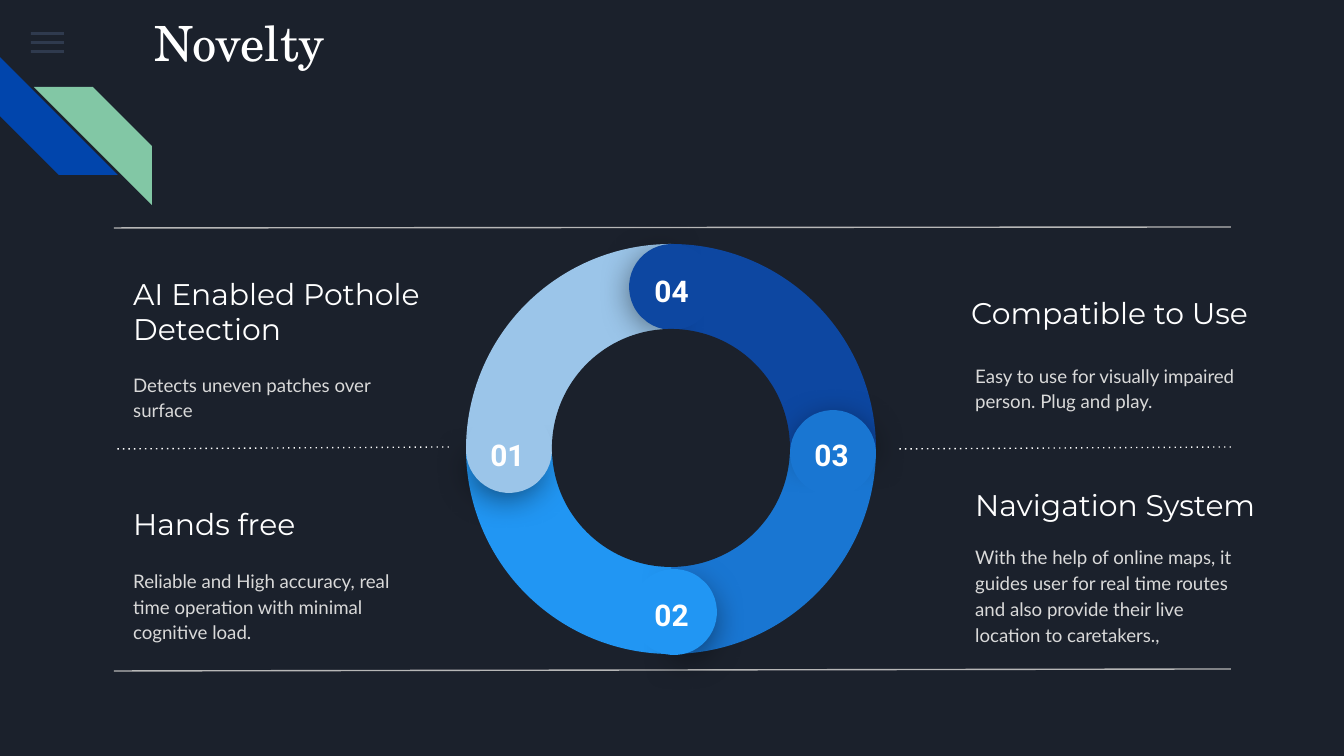
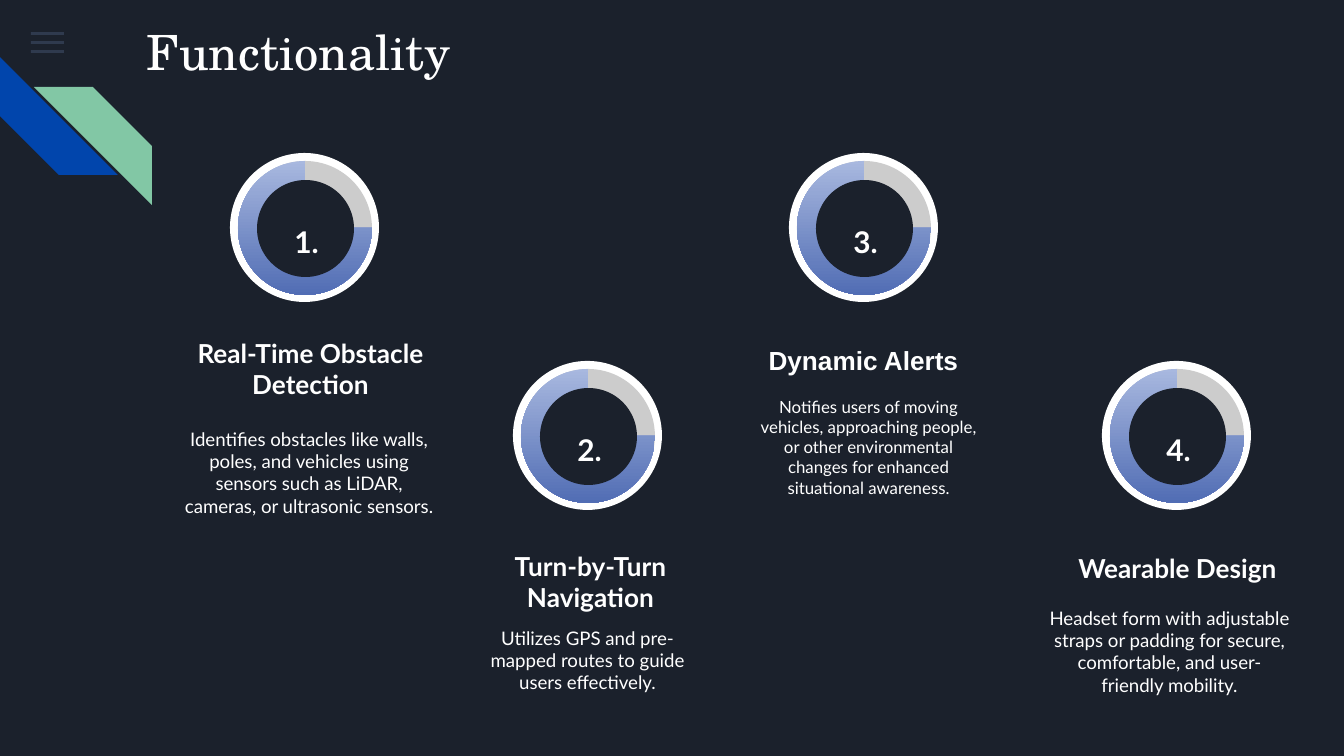
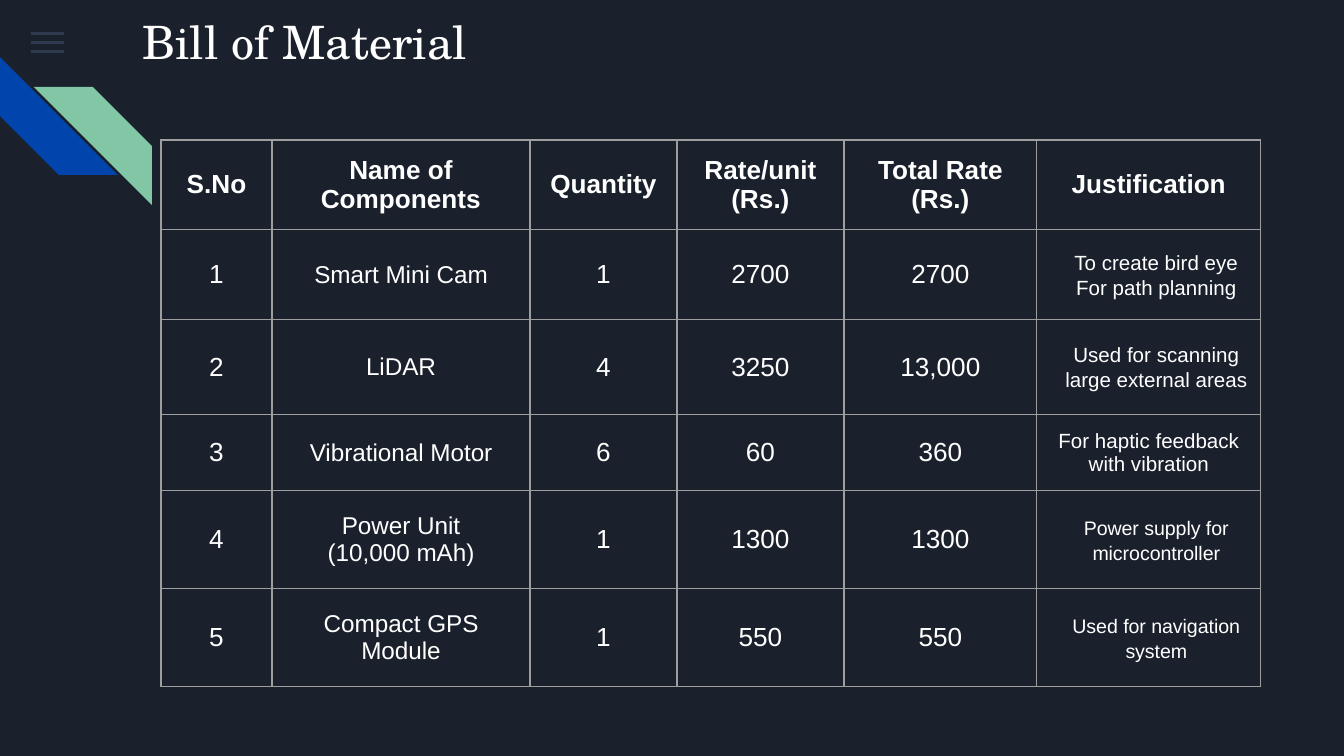
from lxml import etree
from pptx import Presentation
from pptx.dml.color import RGBColor
from pptx.enum.shapes import MSO_CONNECTOR, MSO_SHAPE
from pptx.enum.text import MSO_ANCHOR, PP_ALIGN
from pptx.oxml.ns import qn
from pptx.util import Emu, Pt

RECT, OVAL, PIE = MSO_SHAPE.RECTANGLE, MSO_SHAPE.OVAL, MSO_SHAPE.PIE
CHORD, STRIPE = MSO_SHAPE.CHORD, MSO_SHAPE.DIAGONAL_STRIPE
STRAIGHT = MSO_CONNECTOR.STRAIGHT
TOP, MIDDLE = MSO_ANCHOR.TOP, MSO_ANCHOR.MIDDLE
LEFT, CENTER = PP_ALIGN.LEFT, PP_ALIGN.CENTER

NAVY = RGBColor(0x1B, 0x21, 0x2C)
WHITE = RGBColor(0xFF, 0xFF, 0xFF)
PALE = RGBColor(0xD9, 0xD9, 0xD9)
RULE_GREY = RGBColor(0xB7, 0xB7, 0xB7)
DIAL_GREY = RGBColor(0xCC, 0xCC, 0xCC)
MENU_BLUE = RGBColor(0x55, 0x68, 0x8B)
STRIPE_BLUE = RGBColor(0x01, 0x45, 0xAC)
STRIPE_GREEN = RGBColor(0x82, 0xC7, 0xA5)
DIAL_LIGHT = RGBColor(0xA8, 0xB8, 0xDF)
DIAL_DARK = RGBColor(0x51, 0x6D, 0xB4)
BORDER = "9E9E9E"

TITLE_FONT, HEAD_FONT, BODY_FONT = "TeX Gyre Schola", "Montserrat", "Lato"
NUMBER_FONT, TABLE_FONT = "Roboto", "Arial"
SLIDE_W, SLIDE_H = 1344, 756
MARGIN = Pt(7.2)

# Novelty: heading, its box, body, its box
FEATURES = [
    ("AI Enabled Pothole Detection", (120, 278, 329, 66),
     "Detects uneven patches over surface", (120, 345, 293, 102)),
    ("Hands free", (120, 491, 273, 66),
     "Reliable and High accuracy, real time operation with minimal cognitive load.",
     (120, 554, 293, 102)),
    ("Compatible to Use", (958, 280, 321, 66),
     "Easy to use for visually impaired person. Plug and play.", (962, 336, 293, 102)),
    ("Navigation System", (962, 487, 313, 35),
     "With the help of online maps, it guides user for real time routes and also "
     "provide their live location to caretakers.,", (962, 540, 293, 109)),
]
# start, end, colour, dotted
RULES = [
    ((1231, 227), (114, 228), RULE_GREY, False),
    ((449, 447), (114, 449), WHITE, True),
    ((1231, 447), (896, 449), WHITE, True),
    ((1231, 669), (114, 671), RULE_GREY, False),
]
# number, colour, centre of knob shadow, centre of knob, label corner
RING_STEPS = [
    ("01", RGBColor(0x9B, 0xC5, 0xE9), (506, 451), (509, 450), (470, 423)),
    ("02", RGBColor(0x21, 0x96, 0xF3), (675, 614), (674, 612), (634, 583)),
    ("03", RGBColor(0x19, 0x76, 0xD2), (835, 451), (833, 453), (794, 423)),
    ("04", RGBColor(0x0D, 0x47, 0xA1), (670, 284), (672, 287), (634, 259)),
]
RING_BOX, HOLE_BOX = (466, 244, 410, 410), (552, 329, 238, 238)

# Functionality: dial corner, heading, box, font, body, box, size
FUNCTIONS = [
    ((230, 153), "Real-Time Obstacle Detection", (181, 324, 259, 99), BODY_FONT,
     "Identifies obstacles like walls, poles, and vehicles using sensors such as "
     "LiDAR, cameras, or ultrasonic sensors.", (170, 414, 278, 99), 10),
    ((513, 361), "Turn-by-Turn Navigation", (457, 537, 267, 90), BODY_FONT,
     "Utilizes GPS and pre-mapped routes to guide users effectively.",
     (462, 613, 251, 99), 10),
    ((789, 153), "Dynamic Alerts", (748, 331, 231, 59), TABLE_FONT,
     "Notifies users of moving vehicles, approaching people, or other environmental "
     "changes for enhanced situational awareness.", (743, 383, 251, 99), 9),
    ((1102, 361), "Wearable Design", (1062, 539, 231, 59), BODY_FONT,
     "Headset form with adjustable straps or padding for secure, comfortable, and "
     "user-friendly mobility.", (1036, 593, 267, 99), 10),
]

# Bill of Material
COLUMNS = [111, 258, 147, 167, 193, 224]
ROWS = [73, 90, 95, 66, 98, 98]
HEADER = ["S.No", "Name of Components", "Quantity", "Rate/unit\n(Rs.)",
          "Total Rate\n(Rs.)", "Justification"]
PARTS = [
    ["1", "Smart Mini Cam", "1", "2700", "2700", "To create bird eye\nFor path planning"],
    ["2", "LiDAR", "4", "3250", "13,000", "Used for scanning large external areas"],
    ["3", "Vibrational Motor", "6", "60", "360", "For haptic feedback with vibration"],
    ["4", "Power Unit\n(10,000 mAh)", "1", "1300", "1300",
     "Power supply for\nmicrocontroller"],
    ["5", "Compact GPS Module", "1", "550", "550", "Used for navigation system"],
]
WIDE_NOTE = dict(size=11, spacing=1.09, indent=15)
SMALL_NOTE = dict(size=10.5, spacing=1.14, indent=15)
NOTE_FORMATS = [WIDE_NOTE, WIDE_NOTE, dict(size=11), SMALL_NOTE, SMALL_NOTE]


def px(n):
    return Emu(round(n * 9144000 / SLIDE_W))


def centred(centre, size):
    return centre[0] - size / 2, centre[1] - size / 2, size, size


def fill_text(tf, text, size, font=BODY_FONT, color=WHITE, bold=False,
              align=LEFT, spacing=None, indent=0):
    """Write one paragraph for each line of the text."""
    tf.word_wrap = True
    for i, line in enumerate(text.split("\n")):
        p = tf.paragraphs[0] if i == 0 else tf.add_paragraph()
        p.alignment = align
        if spacing:
            p.line_spacing = spacing
        if indent:
            p._p.get_or_add_pPr().set("marL", str(px(indent)))
        r = p.add_run()
        r.text = line
        r.font.name, r.font.size, r.font.bold = font, Pt(size), bold
        r.font.color.rgb = color


def add_text(s, text, box, size, anchor=TOP, **fmt):
    tf = s.shapes.add_textbox(*map(px, box)).text_frame
    tf.margin_left = tf.margin_right = tf.margin_top = tf.margin_bottom = MARGIN
    tf.vertical_anchor = anchor
    fill_text(tf, text, size, **fmt)


def add_shape(parent, kind, box, color, rotation=0, adjust=()):
    sp = parent.shapes.add_shape(kind, *map(px, box))
    sp.shadow.inherit = False
    sp.fill.solid()
    sp.fill.fore_color.rgb = color
    sp.line.fill.background()
    sp.rotation = rotation
    for i, value in enumerate(adjust):
        sp.adjustments[i] = value
    return sp


def add_alpha(color_element, percent):
    etree.SubElement(color_element, qn("a:alpha"), val=str(percent * 1000))


def add_drop_shadow(sp):
    effects = sp._element.spPr.find(qn("a:effectLst"))
    shadow = etree.SubElement(effects, qn("a:outerShdw"), blurRad=str(Pt(18)),
                              dist=str(Pt(4)), dir="5400000", algn="t", rotWithShape="0")
    add_alpha(etree.SubElement(shadow, qn("a:srgbClr"), val="000000"), 55)


def add_rule(s, start, end, color, dotted):
    line = s.shapes.add_connector(STRAIGHT, *map(px, start + end))
    line.line.color.rgb = color
    line.line.width = Pt(0.75)
    spPr = line._element.spPr
    if dotted:
        etree.SubElement(spPr.find(qn("a:ln")), qn("a:prstDash"), val="dot")
    etree.SubElement(spPr, qn("a:effectLst"))


def add_slide(prs, title, box, size=26, spacing=None):
    """Add a slide with the shared background, menu icon, stripes and title."""
    s = prs.slides.add_slide(prs.slide_layouts[6])
    s.background.fill.solid()
    s.background.fill.fore_color.rgb = NAVY
    for i in range(3):
        bar = add_shape(s, RECT, (31, 32 + 9 * i, 33, 3), MENU_BLUE)
        add_alpha(bar._element.spPr.find(".//" + qn("a:srgbClr")), 36)
    stripes = s.shapes.add_group_shape()
    add_shape(stripes, STRIPE, (0, 57, 118, 118), STRIPE_BLUE, 270, [0.5])
    green = add_shape(stripes, STRIPE, (34, 87, 118, 118), STRIPE_GREEN, 0, [0.5])
    green._element.spPr.xfrm.set("flipH", "1")
    add_text(s, title, box, size, font=TITLE_FONT, spacing=spacing)
    return s


def build_novelty(prs):
    s = add_slide(prs, "Novelty", (141, 0, 230, 102))
    for heading, head_box, body, body_box in FEATURES:
        add_text(s, heading, head_box, 16, MIDDLE, font=HEAD_FONT)
        add_text(s, body, body_box, 10, MIDDLE, color=PALE, spacing=1.15)
    for rule in RULES:
        add_rule(s, *rule)
    for turn in range(4):
        add_shape(s, PIE, RING_BOX, RING_STEPS[-turn][1], 90 * turn, [107.96, 162.01])
    for i, (number, color, shade, knob, corner) in enumerate(RING_STEPS):
        turn = 360 - 90 * i
        g = s.shapes.add_group_shape()
        add_drop_shadow(add_shape(g, PIE, centred(shade, 77), color,
                                  (39.5 + turn) % 360, [189.54, 83.81]))
        add_shape(g, CHORD, centred(knob, 86), color, (4.1 + turn) % 360, [25.01, 18.12])
        add_text(s, number, corner + (75, 39), 16, font=NUMBER_FONT, bold=True,
                 align=CENTER)
    add_shape(s, OVAL, HOLE_BOX, NAVY)


def add_dial(s, corner, label):
    x, y = corner
    g = s.shapes.add_group_shape()
    ring = (x + 8, y + 8, 134, 134)
    add_shape(g, OVAL, (x, y, 149, 149), WHITE)
    add_shape(g, OVAL, ring, DIAL_GREY)
    fill = add_shape(g, PIE, ring, DIAL_LIGHT, 0, [0, 162]).fill
    fill.gradient()
    fill.gradient_angle = 270
    for stop, color in zip(fill.gradient_stops, (DIAL_LIGHT, DIAL_DARK)):
        stop.color.rgb = color
    add_shape(g, OVAL, (x + 27, y + 27, 97, 97), NAVY)
    add_text(s, label, (x + 28, y + 52, 97, 65), 16, bold=True, align=CENTER,
             spacing=1.15)


def build_functionality(prs):
    s = add_slide(prs, "Functionality", (133, 0, 824, 87), spacing=1.15)
    for i, (corner, heading, head_box, font, body, body_box, size) in enumerate(FUNCTIONS, 1):
        add_dial(s, corner, f"{i}.")
        add_text(s, heading, head_box, 14, font=font, bold=True, align=CENTER)
        add_text(s, body, body_box, size, align=CENTER)


def fill_cell(cell, text, **fmt):
    tcPr = cell._tc.get_or_add_tcPr()
    for side in ("a:lnL", "a:lnR", "a:lnT", "a:lnB"):
        ln = etree.SubElement(tcPr, qn(side), w=str(Pt(0.75)))
        solid = etree.SubElement(ln, qn("a:solidFill"))
        etree.SubElement(solid, qn("a:srgbClr"), val=BORDER)
    cell.fill.background()
    cell.margin_left = cell.margin_right = cell.margin_top = cell.margin_bottom = MARGIN
    cell.vertical_anchor = MIDDLE
    fill_text(cell.text_frame, text, font=TABLE_FONT, align=CENTER, **fmt)


def build_materials(prs):
    s = add_slide(prs, "Bill of Material", (129, 0, 433, 78), 24.6)
    table = s.shapes.add_table(len(ROWS), len(COLUMNS), px(161), px(140),
                               px(sum(COLUMNS)), px(sum(ROWS))).table
    table.first_row = table.horz_banding = False
    for column, width in zip(table.columns, COLUMNS):
        column.width = px(width)
    for row, height in zip(table.rows, ROWS):
        row.height = px(height)
    for c, text in enumerate(HEADER):
        fill_cell(table.cell(0, c), text, size=14, bold=True)
    formats = {1: dict(size=13)}
    for r, (part, note) in enumerate(zip(PARTS, NOTE_FORMATS), 1):
        formats[5] = note
        for c, text in enumerate(part):
            fill_cell(table.cell(r, c), text, **formats.get(c, dict(size=14)))


def main():
    prs = Presentation()
    prs.slide_width, prs.slide_height = px(SLIDE_W), px(SLIDE_H)
    build_novelty(prs)
    build_functionality(prs)
    build_materials(prs)
    prs.save("out.pptx")


if __name__ == "__main__":
    main()
